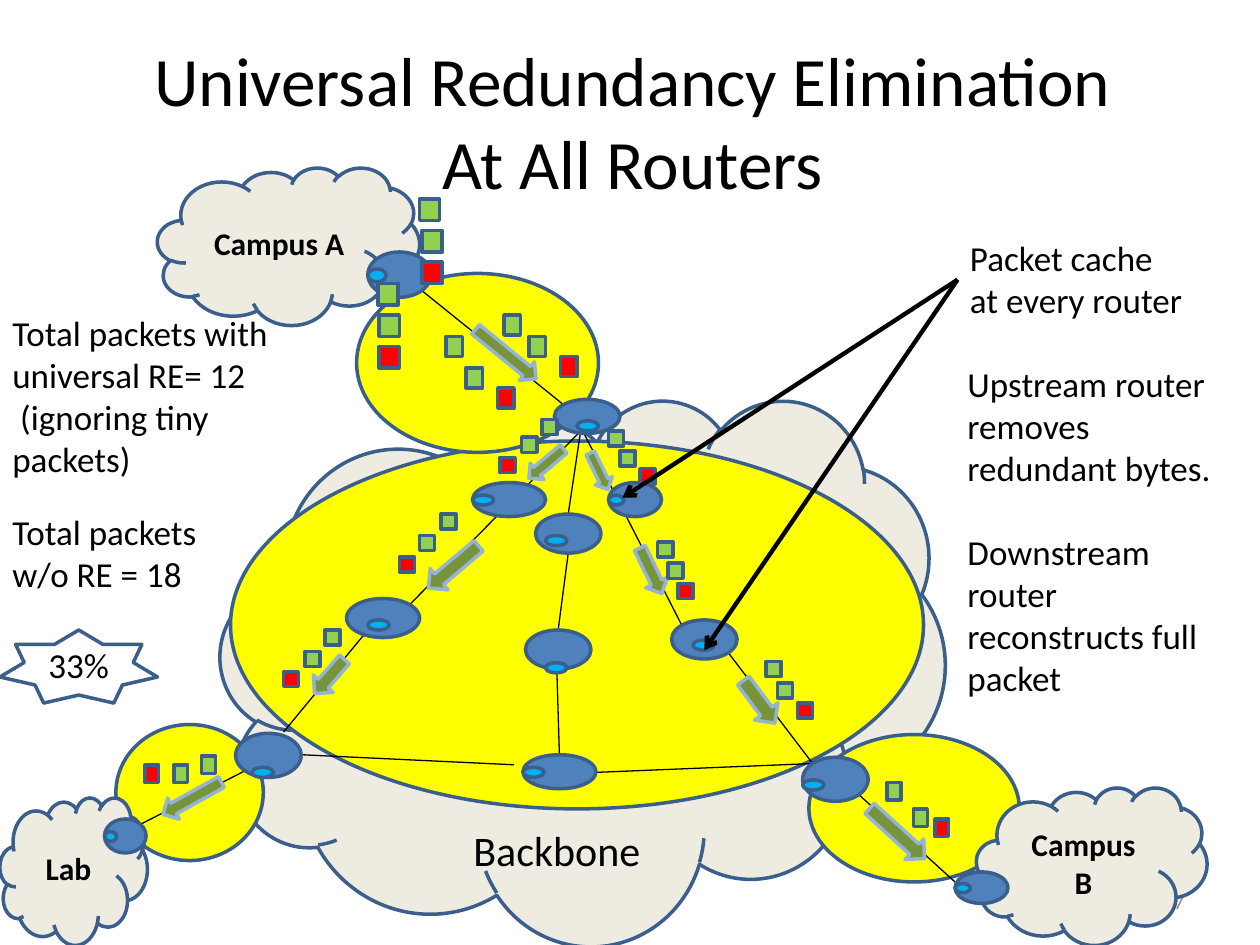
from dataclasses import dataclass

from lxml.etree import SubElement
from pptx import Presentation
from pptx.dml.color import RGBColor as RGB
from pptx.enum.shapes import MSO_CONNECTOR as CONN, MSO_SHAPE as SHAPE
from pptx.enum.text import MSO_ANCHOR as ANCHOR, PP_ALIGN as ALIGN
from pptx.oxml.ns import qn
from pptx.util import Cm, Pt


@dataclass(frozen=True)
class Theme:
    """Colours, font and type sizes of the slide."""
    font: str = "Calibri"
    ink: str = "000000"
    muted: str = "8C8C8C"
    outline: str = "3A5F8C"
    cloud: str = "EEECE1"
    zone: str = "FFFF00"
    router: str = "4F81BD"
    cache: str = "00B0F0"
    unique: str = "92D050"
    redundant: str = "FF0000"
    flow: str = "77933C"
    flow_edge: str = "95B3D7"
    title: float = 39.6
    network: int = 24
    body: int = 20
    campus: int = 18
    number: int = 12


T = Theme()
UNIT = 2.54  # one layout unit in centimetres; the slide is 10 x 7.5 units

prs = Presentation()
prs.slide_width, prs.slide_height = Cm(10 * UNIT), Cm(7.5 * UNIT)
s = prs.slides.add_slide(prs.slide_layouts[5])


def add_shape(kind, box, fill=None, edge=T.outline):
    """Add an outlined preset shape, or a plain text box when kind is None."""
    frame = [Cm(v * UNIT) for v in box]
    if kind is None:
        return s.shapes.add_textbox(*frame)
    sp = s.shapes.add_shape(kind, *frame)
    sp.shadow.inherit = False
    if fill:
        sp.fill.solid()
        sp.fill.fore_color.rgb = RGB.from_string(fill)
    else:
        sp.fill.background()
    sp.line.color.rgb = RGB.from_string(edge)
    sp.line.width = Pt(2)
    return sp


def set_text(sp, paragraphs, size, align=ALIGN.LEFT, anchor=ANCHOR.TOP,
             color=T.ink, bold=False, gap=0, wrap=True):
    """Write the paragraphs into a shape, with a gap between them in points."""
    tf = sp.text_frame
    tf.word_wrap, tf.vertical_anchor = wrap, anchor
    for i, text in enumerate(paragraphs):
        p = tf.add_paragraph() if i else tf.paragraphs[0]
        p.text, p.alignment = text, align
        p.space_before = Pt(gap if i else 0)
        p.font.name, p.font.size, p.font.bold = T.font, Pt(size), bold
        p.font.color.rgb = RGB.from_string(color)


# Title
title = s.shapes.title
title.left, title.top, title.width, title.height = (
    Cm(v * UNIT) for v in (0.92, 0.33, 8.2, 1.25))
set_text(title, ["Universal Redundancy Elimination At All Routers"], T.title,
         ALIGN.CENTER, ANCHOR.MIDDLE)

# Backbone cloud, network zones and slide number
add_shape(SHAPE.CLOUD, (1.75, 3.17, 5.75, 4.33), T.cloud)
for zone in [(1.83, 3.5, 5.5, 2.92), (6.42, 5.83, 1.67, 1.17),
             (0.92, 5.75, 1.17, 1.08), (2.83, 2.17, 1.92, 1.42)]:
    add_shape(SHAPE.OVAL, zone, T.zone)
set_text(add_shape(None, (3.42, 6.49, 2, 0.5)), ["Backbone"], T.network,
         ALIGN.CENTER, ANCHOR.MIDDLE)
set_text(add_shape(None, (7.17, 6.95, 2.33, 0.4)), ["7"], T.number,
         ALIGN.RIGHT, ANCHOR.MIDDLE, T.muted)

# Campus clouds
for name, box in [("Campus A", (1.25, 1.33, 2.08, 1.25)),
                  ("Campus B", (7.75, 6.25, 1.83, 1.25)),
                  ("Lab", (0, 6.33, 1.17, 1.17))]:
    set_text(add_shape(SHAPE.CLOUD, box, T.cloud), [name], T.campus,
             ALIGN.CENTER, ANCHOR.MIDDLE, bold=True)

# Links between routers, then the two pointers to packet caches
links = [(4.62, 3.41, 3.25, 4.8), (2.92, 5, 2.25, 5.81),
         (4.62, 3.41, 5.41, 4.96), (5.78, 5.18, 6.45, 6.06),
         (4.08, 6.07, 2.39, 5.99), (4.73, 6.13, 6.45, 6.06),
         (4.42, 5.33, 4.44, 5.99), (4.61, 3.41, 4.51, 4.08),
         (4.51, 4.39, 4.43, 5), (3.34, 2.3, 4.47, 3.21),
         (1.94, 6.12, 1.12, 6.54), (6.82, 6.31, 7.58, 7)]
pointers = [(7.6, 2.22, 4.94, 3.95), (7.6, 2.22, 5.59, 5.16)]
pointer_lines = []
for ends in links + pointers:
    line = s.shapes.add_connector(CONN.STRAIGHT, *(Cm(v * UNIT) for v in ends))
    line.line.color.rgb = RGB.from_string(T.ink)
    line.line.width = Pt(2.5 if ends in pointers else 0.75)
    if ends in pointers:
        SubElement(line.line._get_or_add_ln(), qn("a:tailEnd"), type="arrow")
        pointer_lines.append(line)
    SubElement(line._element.spPr, qn("a:effectLst"))

# Routers whose cache sits at its own place: router box, cache corner
for router, corner in [((4.4, 3.17, 0.52, 0.27), (4.58, 3.34)),
                       ((2.75, 4.75, 0.58, 0.31), (2.92, 4.92)),
                       ((5.33, 4.92, 0.52, 0.31), (5.5, 5.08)),
                       ((1.87, 5.82, 0.52, 0.35), (2, 6.09)),
                       ((6.37, 6.01, 0.52, 0.35), (6.37, 6.19)),
                       ((4.25, 4.08, 0.52, 0.31), (4.33, 4.25)),
                       ((4.17, 5, 0.52, 0.31), (4.33, 5.26))]:
    add_shape(SHAPE.OVAL, router, T.router)
    add_shape(SHAPE.OVAL, (*corner, 0.17, 0.08), T.cache)

# Routers with the cache in proportion at the left edge
for x, y, w, h in [(4.15, 5.99, 0.58, 0.27), (2.92, 2, 0.5, 0.36),
                   (0.83, 6.5, 0.33, 0.27), (7.58, 6.92, 0.42, 0.25),
                   (3.75, 3.83, 0.58, 0.27), (4.83, 3.83, 0.42, 0.27)]:
    add_shape(SHAPE.OVAL, (x, y, w, h), T.router)
    add_shape(SHAPE.OVAL, (x, y + 0.37 * h, 0.29 * w, 0.29 * h), T.cache)

# Flow arrows: box and rotation
for box, angle in [((5.07, 4.33, 0.19, 0.4), 334),
                   ((2.51, 5.19, 0.21, 0.36), 41.2),
                   ((5.91, 5.36, 0.23, 0.42), 323.4),
                   ((1.43, 6.07, 0.19, 0.53), 61),
                   ((7.01, 6.32, 0.22, 0.59), 312.4),
                   ((3.92, 2.5, 0.19, 0.62), 309.3),
                   ((4.25, 3.5, 0.17, 0.36), 49.9),
                   ((4.68, 3.58, 0.15, 0.32), 334),
                   ((3.49, 4.24, 0.22, 0.52), 49.9)]:
    add_shape(SHAPE.DOWN_ARROW, box, T.flow, T.flow_edge).rotation = angle

# Packets in threes: size, then two unique packets and a redundant one
small, tall, medium, large = (0.12, 0.12), (0.11, 0.14), (0.13, 0.16), (0.16, 0.17)
for size, corners in [
        (small, [(5.3, 4.47), (5.22, 4.3), (5.38, 4.63)]),
        (small, [(6.17, 5.42), (6.08, 5.25), (6.33, 5.58)]),
        (small, [(2.58, 5), (2.42, 5.17), (2.25, 5.33)]),
        (small, [(4.14, 3.47), (4.3, 3.33), (3.97, 3.63)]),
        (small, [(4.92, 3.58), (4.83, 3.42), (5.08, 3.72)]),
        (small, [(3.33, 4.25), (3.5, 4.08), (3.17, 4.42)]),
        (tall, [(7.25, 6.42), (7.04, 6.21), (7.42, 6.5)]),
        (tall, [(1.38, 6.07), (1.6, 6), (1.15, 6.07)]),
        (medium, [(4.2, 2.67), (4, 2.5), (4.45, 2.83)]),
        (medium, [(3.7, 2.92), (3.54, 2.67), (3.95, 3.08)]),
        (large, [(3, 2.25), (3.01, 2.5), (3.01, 2.75)]),
        (large, [(3.33, 1.58), (3.35, 1.83), (3.35, 2.08)])]:
    for corner, color in zip(corners, (T.unique, T.unique, T.redundant)):
        add_shape(SHAPE.RECTANGLE, (*corner, *size), color)

# Pointers stay above routers and packets
for line in pointer_lines:
    s.shapes._spTree.append(line._element)

# Notes and savings badge
for box, paragraphs, gap, wrap in [
        ((0, 2.42, 2.33, 1.45),
         ["Total packets with universal RE= 12", " (ignoring tiny packets)"], 0, True),
        ((0, 4, 2.33, 0.77), ["Total packets\vw/o RE = 18"], 0, True),
        ((7.58, 2.83, 2.25, 2.79),
         ["Upstream router removes redundant bytes.",
          "Downstream router reconstructs full packet"], 24, True),
        ((7.6, 1.83, 1.9, 0.77), ["Packet cache\vat every router"], 0, False)]:
    set_text(add_shape(None, box), paragraphs, T.body, gap=gap, wrap=wrap)
set_text(add_shape(SHAPE.STAR_7_POINT, (0, 5, 1.25, 0.58)), ["33%"], T.body,
         ALIGN.CENTER, ANCHOR.MIDDLE)

prs.save("out.pptx")
